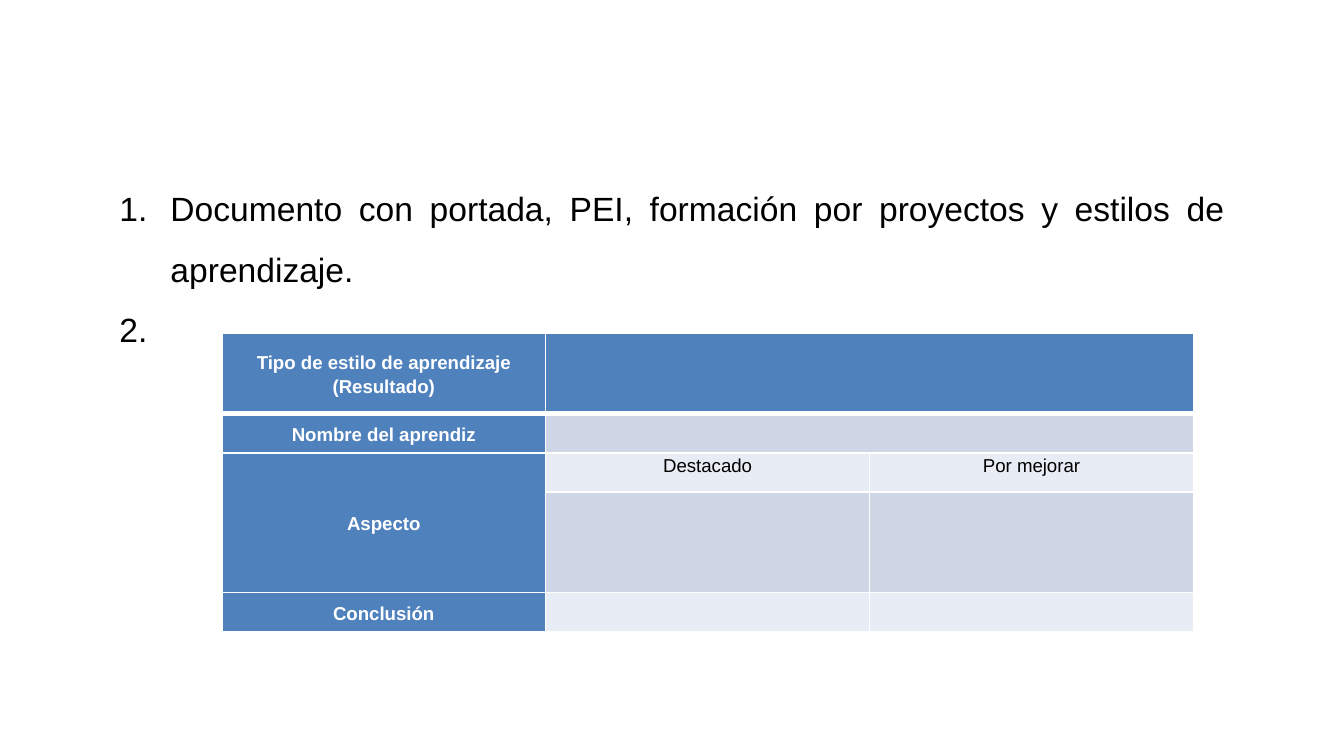
from lxml import etree
from pptx import Presentation
from pptx.dml.color import RGBColor
from pptx.enum import text
from pptx.oxml.ns import qn
from pptx.util import Inches, Pt

BLACK = RGBColor(0x00, 0x00, 0x00)
WHITE = RGBColor(0xFF, 0xFF, 0xFF)
BLUE = RGBColor(0x4F, 0x81, 0xBD)
BAND_DARK = RGBColor(0xCF, 0xD7, 0xE7)
BAND_LIGHT = RGBColor(0xE8, 0xEC, 0xF4)
FONT = "Arial"

ROW_HEIGHTS = [0.6, 0.29, 0.29, 0.75, 0.29]
COL_WIDTH = 2.41
ROWS = [
    ["Tipo de estilo de aprendizaje (Resultado)", "", ""],
    ["Nombre del aprendiz", "", ""],
    ["Aspecto", "Destacado", "Por mejorar"],
    ["", "", ""],
    ["Conclusión", "", ""],
]
MERGES = [((0, 1), (0, 2)), ((1, 1), (1, 2)), ((2, 0), (3, 0))]


def add_run(p, content, size, color, bold=False):
    r = p.add_run()
    r.text = content
    r.font.name = FONT
    r.font.size = Pt(size)
    r.font.bold = bold
    r.font.color.rgb = color


def number_paragraph(p):
    """Give the paragraph an automatic number with a hanging indent."""
    pPr = p._p.get_or_add_pPr()
    pPr.set("marL", str(Inches(0.38)))
    pPr.set("indent", str(Inches(-0.38)))
    color = etree.SubElement(pPr, qn("a:buClr"))
    etree.SubElement(color, qn("a:srgbClr"), val=str(BLACK))
    etree.SubElement(pPr, qn("a:buFont"), typeface=FONT)
    etree.SubElement(pPr, qn("a:buAutoNum"), type="arabicPeriod")


def add_numbered_list(s, items):
    sp = s.shapes.add_textbox(Inches(0.79), Inches(1.2), Inches(8.42), Inches(1.86))
    tf = sp.text_frame
    tf.word_wrap = True
    tf.auto_size = text.MSO_AUTO_SIZE.SHAPE_TO_FIT_TEXT
    for i, item in enumerate(items):
        p = tf.paragraphs[0] if i == 0 else tf.add_paragraph()
        number_paragraph(p)
        p.alignment = text.PP_ALIGN.JUSTIFY
        p.line_spacing = 1.5
        add_run(p, item, 18, BLACK)


def set_borders(cell, widths):
    tcPr = cell._tc.get_or_add_tcPr()
    for side, width in zip("LRTB", widths):
        ln = etree.SubElement(tcPr, qn(f"a:ln{side}"), w=str(Pt(width)))
        fill = etree.SubElement(ln, qn("a:solidFill"))
        etree.SubElement(fill, qn("a:srgbClr"), val=str(WHITE))


def format_cell(cell, row, col, content):
    is_label = col == 0
    set_borders(cell, (1, 1, 3 if row == 1 else 1, 3 if row == 0 else 1))
    cell.fill.solid()
    if is_label or row == 0:
        cell.fill.fore_color.rgb = BLUE
    else:
        cell.fill.fore_color.rgb = BAND_DARK if row % 2 else BAND_LIGHT
    cell.margin_left = cell.margin_right = Inches(0.07)
    cell.margin_top = cell.margin_bottom = 0
    if is_label:
        cell.vertical_anchor = text.MSO_ANCHOR.MIDDLE
    p = cell.text_frame.paragraphs[0]
    p.alignment = text.PP_ALIGN.CENTER
    p.line_spacing = 1.15
    if content:
        add_run(p, content, 10, WHITE if is_label else BLACK, is_label)
    else:
        # Keeps empty cells from stretching their rows
        etree.SubElement(p._p, qn("a:endParaRPr"), sz="1000")


def add_style_table(s):
    frame = s.shapes.add_table(len(ROWS), 3, Inches(1.65), Inches(2.48),
                               Inches(3 * COL_WIDTH), Inches(sum(ROW_HEIGHTS)))
    table = frame.table
    for column in table.columns:
        column.width = Inches(COL_WIDTH)
    for row, height in enumerate(ROW_HEIGHTS):
        table.rows[row].height = Inches(height)
        for col, content in enumerate(ROWS[row]):
            format_cell(table.cell(row, col), row, col, content)
    for first, last in MERGES:
        table.cell(*first).merge(table.cell(*last))


def main():
    prs = Presentation()
    prs.slide_width = Inches(10)
    prs.slide_height = Inches(10 * 9 / 16)
    s = prs.slides.add_slide(prs.slide_layouts[6])
    # A lone space makes the number beside the table show
    add_numbered_list(s, [
        "Documento con portada, PEI, formación por proyectos y estilos de aprendizaje.",
        " ",
    ])
    add_style_table(s)
    prs.save("out.pptx")


if __name__ == "__main__":
    main()
